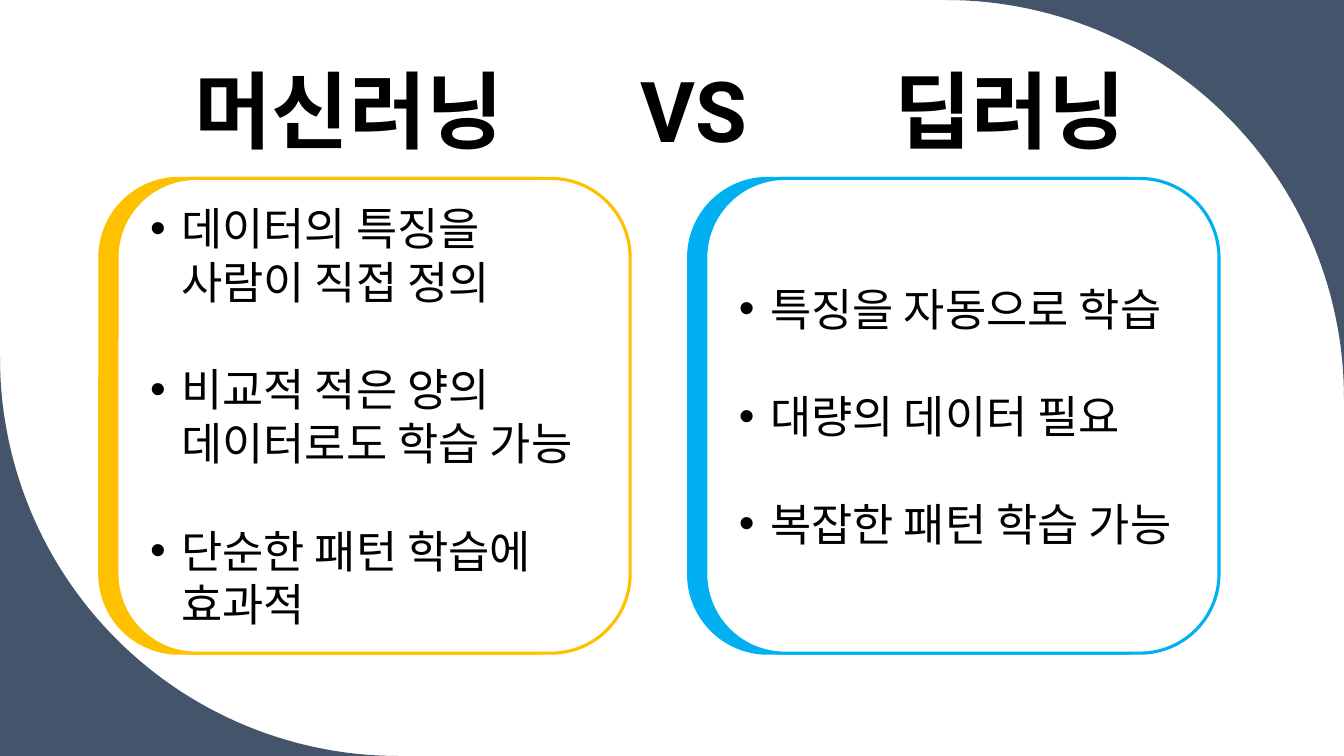
from math import cos, pi, sin

from lxml import etree
from pptx import Presentation
from pptx.dml.color import RGBColor
from pptx.enum.shapes import MSO_SHAPE
from pptx.enum.text import MSO_ANCHOR, MSO_AUTO_SIZE, PP_ALIGN
from pptx.oxml.ns import qn
from pptx.util import Inches, Pt

ROUNDED = MSO_SHAPE.ROUNDED_RECTANGLE
LEFT, MIDDLE, BOTTOM = PP_ALIGN.LEFT, MSO_ANCHOR.MIDDLE, MSO_ANCHOR.BOTTOM
NO_FIT = MSO_AUTO_SIZE.NONE
SLATE = RGBColor(0x44, 0x54, 0x6A)
AMBER = RGBColor(0xFF, 0xC0, 0x00)
BLUE = RGBColor(0x00, 0xB0, 0xF0)
WHITE = RGBColor(0xFF, 0xFF, 0xFF)
BLACK = RGBColor(0x00, 0x00, 0x00)
FONT = "Roboto"
WIDTH, HEIGHT, RADIUS = 13.33, 7.5, 3.95


def add_run(paragraph, text, size, bold=False):
    run = paragraph.add_run()
    run.text = text
    run.font.name = FONT
    run.font.size = Pt(size)
    run.font.bold = bold
    run.font.color.rgb = BLACK


presentation = Presentation()
presentation.slide_width = Inches(WIDTH)
presentation.slide_height = Inches(HEIGHT)
slide = presentation.slides.add_slide(presentation.slide_layouts[5])

# Corners cut by a quarter circle: corner point, circle centre, start angle
corners = [
    ((WIDTH, 0), (WIDTH - RADIUS, RADIUS), -pi / 2),
    ((0, HEIGHT), (RADIUS, HEIGHT - RADIUS), pi / 2),
]
STEPS = 60
for corner, (center_x, center_y), start in corners:
    angles = [start + pi / 2 * step / STEPS for step in range(STEPS + 1)]
    arc = [(Inches(center_x + RADIUS * cos(angle)),
            Inches(center_y + RADIUS * sin(angle))) for angle in angles]
    builder = slide.shapes.build_freeform(Inches(corner[0]), Inches(corner[1]))
    builder.add_line_segments(arc, close=True)
    shape = builder.convert_to_shape()
    shape.shadow.inherit = False
    shape.fill.solid()
    shape.fill.fore_color.rgb = SLATE
    shape.line.fill.background()

# Title: three words set on tab stops
title = slide.shapes.title
title.left, title.top = Inches(1.83), Inches(0.19)
title.width, title.height = Inches(9.68), Inches(1.45)
frame = title.text_frame
frame.auto_size = NO_FIT
frame.word_wrap = True
frame.vertical_anchor = BOTTOM
paragraph = frame.paragraphs[0]
paragraph.alignment = LEFT
paragraph.line_spacing = 0.9
tab_list = etree.SubElement(paragraph._p.get_or_add_pPr(), qn("a:tabLst"))
for position in (4.42, 6.94):
    etree.SubElement(tab_list, qn("a:tab"), pos=str(Inches(position)), algn="l")
add_run(paragraph, "머신러닝\tVS\t딥러닝", 60, bold=True)

# Cards: a coloured back plate and a white front with a bulleted list
cards = [
    (0.99, AMBER, [
        ["데이터의 특징을 ", "사람이 직접 정의"],
        ["비교적 적은 양의 ", "데이터로도 학습 가능"],
        ["단순한 패턴 학습에 효과적"],
    ]),
    (6.83, BLUE, [
        ["특징을 자동으로 학습"],
        ["대량의 데이터 필요"],
        ["복잡한 패턴 학습 가능"],
    ]),
]
INDENT = Inches(0.31)
for card_left, color, items in cards:
    group = slide.shapes.add_group_shape()
    for offset, fill in ((0, color), (0.17, WHITE)):
        plate = group.shapes.add_shape(
            ROUNDED, Inches(card_left + offset), Inches(1.77), Inches(5.09), Inches(4.71))
        plate.shadow.inherit = False
        plate.fill.solid()
        plate.fill.fore_color.rgb = fill
        plate.line.color.rgb = color
        plate.line.width = Pt(2.25)

    frame = plate.text_frame
    frame.word_wrap = True
    frame.vertical_anchor = MIDDLE
    for index, lines in enumerate(items):
        paragraph = frame.add_paragraph() if index else frame.paragraphs[0]
        paragraph.alignment = LEFT
        if index < len(items) - 1:
            paragraph.space_after = Pt(38.4)
        properties = paragraph._p.get_or_add_pPr()
        properties.set("marL", str(INDENT))
        properties.set("indent", str(-INDENT))
        etree.SubElement(properties, qn("a:buFont"), typeface="Arial")
        etree.SubElement(properties, qn("a:buChar"), char="•")
        for line_index, line in enumerate(lines):
            if line_index:
                paragraph.add_line_break()
            add_run(paragraph, line, 32)

presentation.save("out.pptx")
